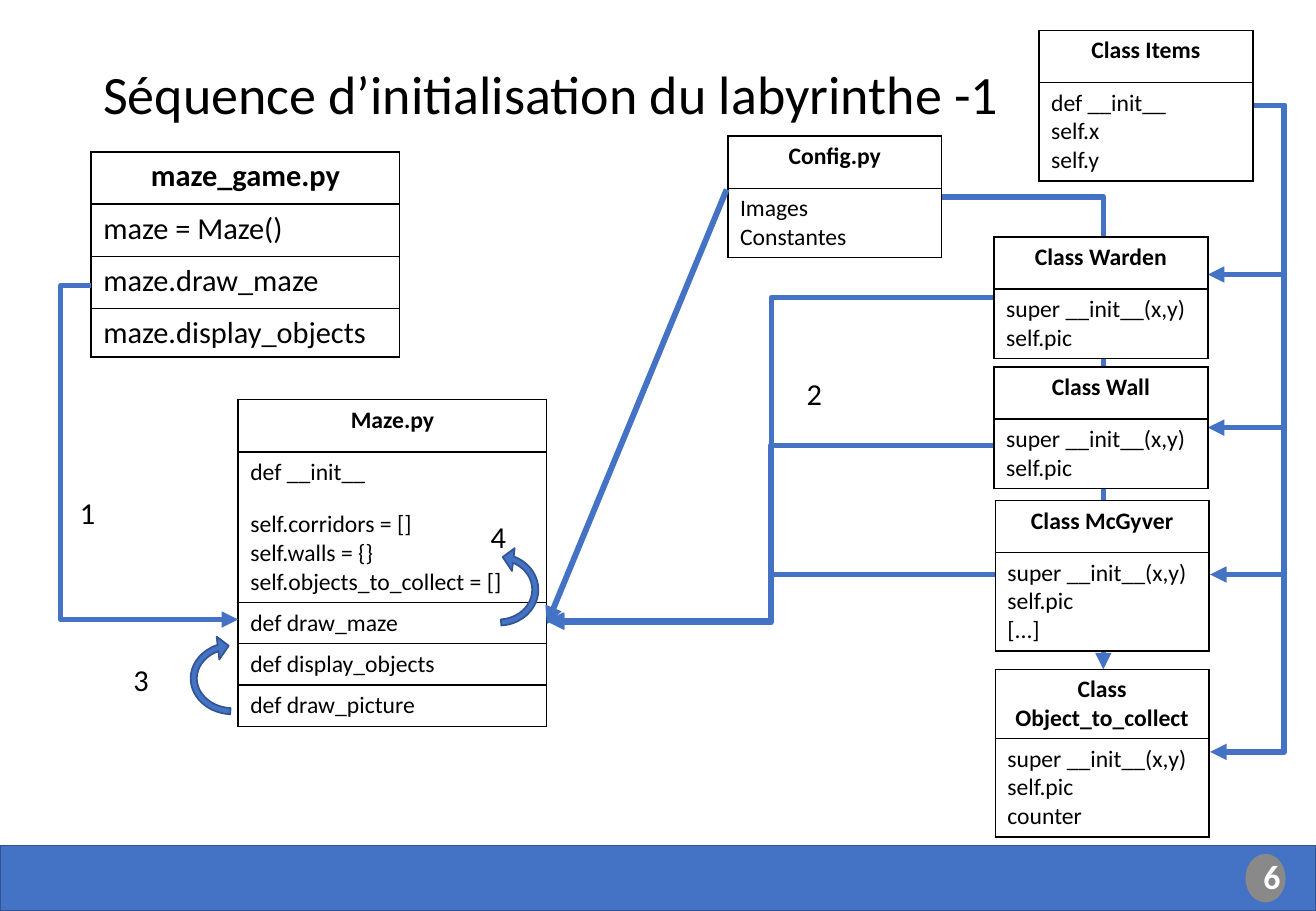
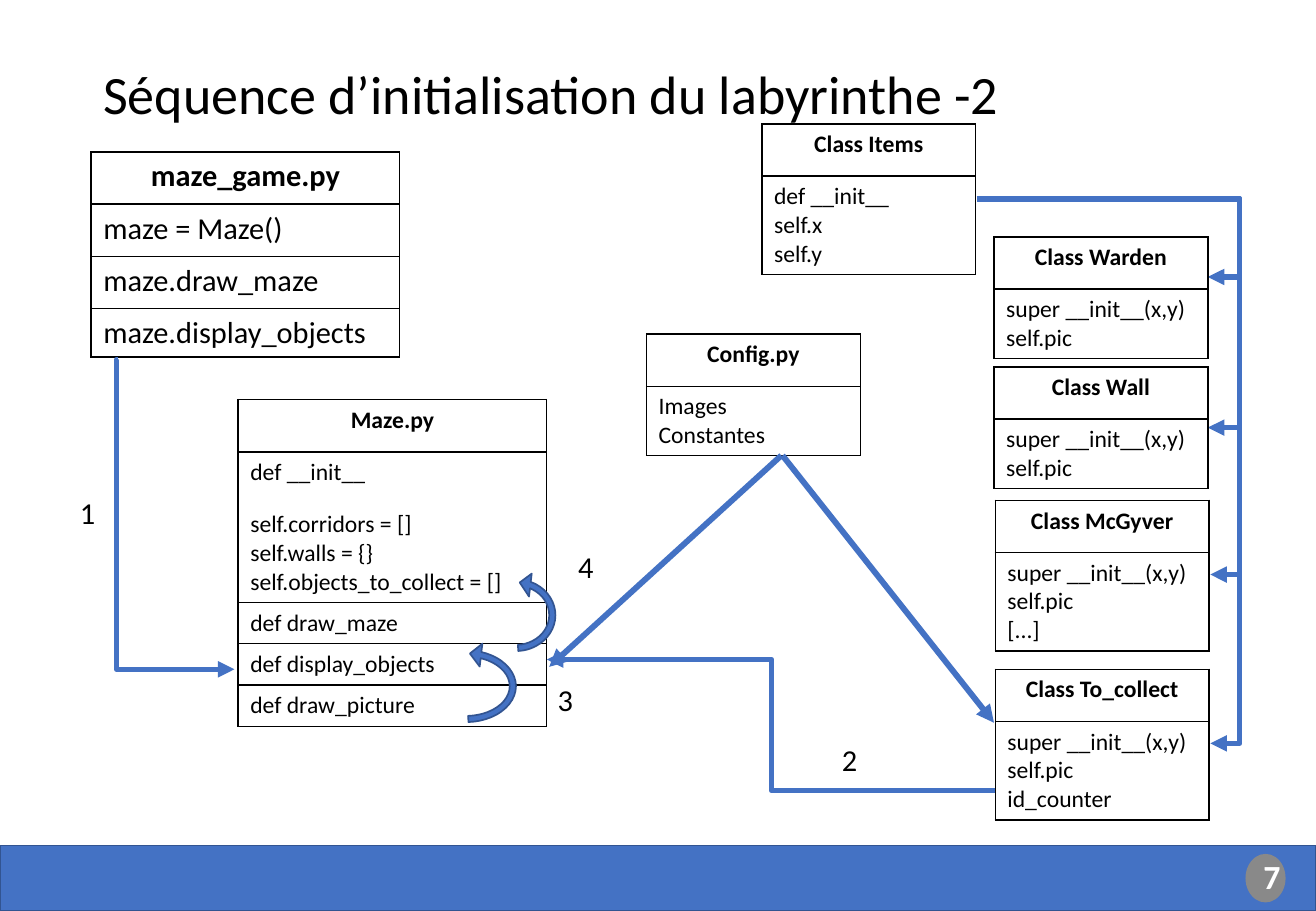
import pptx
import pptx.util
import pptx.dml.color
import pptx.enum.shapes
import pptx.enum.text
import pptx.oxml
import pptx.oxml.ns
from lxml import etree

RGB = pptx.dml.color.RGBColor
BLUE = RGB(0x44, 0x72, 0xC4)
NAVY = RGB(0x32, 0x54, 0x91)
GREY = RGB(0x89, 0x89, 0x89)
BLACK = RGB(0, 0, 0)
WHITE = RGB(255, 255, 255)
FONT = "Calibri"

# Square grid, ten cells to the inch
CELL = pptx.util.Inches(0.1)
COLS, ROWS = 108.3, 75
HEAD = 4.3
WIDE, SLIM = 25.4, 17.6

Pt = pptx.util.Pt
qn = pptx.oxml.ns.qn
Align = pptx.enum.text.PP_ALIGN
Anchor = pptx.enum.text.MSO_ANCHOR
Shape = pptx.enum.shapes.MSO_SHAPE
Link = pptx.enum.shapes.MSO_CONNECTOR


def write(frame, text, size, color=BLACK, bold=False, align=Align.LEFT):
    for i, line in enumerate(text.split("\n")):
        para = frame.paragraphs[0] if i == 0 else frame.add_paragraph()
        para.alignment = align
        run = para.add_run()
        run.text = line
        run.font.name = FONT
        run.font.size = Pt(size)
        run.font.bold = bold
        run.font.color.rgb = color


def grid(*cells):
    return [round(cell * CELL) for cell in cells]


# Tables: left, top, width, text size, filled, rows of (height, text)
INIT = "super __init__(x,y)\nself.pic"
ITEMS = [(HEAD, "Class Items"), (8.1, "def __init__\nself.x\nself.y")]
CONFIG = [(HEAD, "Config.py"), (5.7, "Images\nConstantes")]
GAME = (7.5, 12.5, WIDE, 18, False, [
    (HEAD, "maze_game.py"), (HEAD, "maze = Maze()"),
    (HEAD, "maze.draw_maze"), (4, "maze.display_objects")])
MAZE = (19.6, 32.9, WIDE, 14, False, [
    (HEAD, "Maze.py"), (HEAD, "def __init__"),
    (8.1, "self.corridors = []\nself.walls = {}\nself.objects_to_collect = []"),
    (3.4, "def draw_maze"), (3.4, "def display_objects"),
    (3.4, "def draw_picture")])
CLASSES = [
    (81.8, 19.5, SLIM, 14, True, [(HEAD, "Class Warden"), (5.7, INIT)]),
    (81.8, 30.2, SLIM, 14, True, [(HEAD, "Class Wall"), (5.7, INIT)]),
    (81.9, 41.2, SLIM, 14, True,
     [(HEAD, "Class McGyver"), (8.1, INIT + "\n[...]")]),
]

# Links: from x, y, to x, y, column of the bend (None is straight)
# Loops: left, top, width, height, flipped
PAGES = [
    {
        "num": "6",
        "title": "Séquence d’initialisation du labyrinthe -1",
        "tables": [
            (85.5, 2.5, SLIM, 14, False, ITEMS),
            (81.9, 55.1, SLIM, 14, False,
             [(5.7, "Class Object_to_collect"), (8.1, INIT + "\ncounter")]),
            (59.9, 11.2, SLIM, 14, False, CONFIG),
        ],
        "links": [
            (7.5, 23.5, 19.6, 51, 5),
            (105.8, 11.2, 99.4, 22.6, 105.7),
            (103.2, 8.7, 99.4, 35.2, 105.7),
            (103.2, 8.7, 99.6, 61.9, 105.7),
            (103.2, 8.7, 99.6, 47.3, 105.7),
            (81.9, 47.3, 45, 51.1, 63.5),
            (81.7, 36.7, 45.1, 51.1, 63.4),
            (81.8, 24.5, 45.1, 51.2, 63.5),
            (59.8, 15.6, 45, 51.4, None),
            (77.5, 16.2, 90.8, 55.1, 90.8),
        ],
        "marks": [(5.6, 40.2), (65.4, 30.4), (10, 53.9), (39.4, 42.2)],
        "loops": [(15.5, 51.7, 7.3, 8.3, False), (37.4, 44.6, 7.3, 7.9, True)],
    },
    {
        "num": "7",
        "title": "Séquence d’initialisation du labyrinthe -2",
        "tables": [
            (62.7, 10.2, SLIM, 14, False, ITEMS),
            (81.9, 55.1, SLIM, 14, False,
             [(HEAD, "Class To_collect"), (8.1, INIT + "\nid_counter")]),
            (53.2, 27.5, SLIM, 14, False, CONFIG),
        ],
        "links": [
            (9.7, 29.6, 19.3, 55.1, 9.6),
            (80.4, 16.4, 99.4, 22.8, 102),
            (80.4, 16.4, 99.4, 35.2, 102),
            (80.4, 16.4, 99.6, 61.2, 102),
            (80.4, 16.4, 99.6, 47.3, 102),
            (81.9, 65.1, 45, 54.3, 63.5),
            (64.4, 37.5, 81.8, 59.5, None),
            (64.3, 37.5, 45.2, 54.9, None),
        ],
        "marks": [(5.6, 40.2), (68.3, 60.5), (44.9, 55.6), (46.6, 44.6)],
        "loops": [(34.7, 51.7, 7.3, 9.6, True), (38.8, 46.7, 7.3, 7.9, True)],
    },
]

deck = pptx.Presentation()
deck.slide_width, deck.slide_height = grid(COLS, ROWS)

for page in PAGES:
    slide = deck.slides.add_slide(deck.slide_layouts[6])
    shapes = slide.shapes

    # Footer band and page number
    band = shapes.add_shape(Shape.RECTANGLE, *grid(0, 69.6, COLS, 5.4))
    band.shadow.inherit = False
    band.fill.solid()
    band.fill.fore_color.rgb = BLUE
    band.line.color.rgb = NAVY
    band.line.width = Pt(1)
    disc = shapes.add_shape(Shape.OVAL, *grid(102.5, 70.3, 3.3, 4))
    disc.shadow.inherit = False
    disc.fill.solid()
    disc.fill.fore_color.rgb = GREY
    disc.line.fill.background()
    disc.text_frame.vertical_anchor = Anchor.MIDDLE
    write(disc.text_frame, page["num"], 20, WHITE, True, Align.CENTER)
    para = disc.text_frame.paragraphs[0]
    para.line_spacing = 0.9
    para.space_after = Pt(6)

    # Title
    title = shapes.add_textbox(*grid(7.5, 1.4, 92, 9.5)).text_frame
    title.word_wrap = True
    title.vertical_anchor = Anchor.BOTTOM
    write(title, page["title"], 32)
    title.paragraphs[0].line_spacing = 0.9

    # Tables, with the filled ones on top of the links
    plain = [GAME, MAZE] + page["tables"]
    for layer in (plain, CLASSES):
        for left, top, width, size, filled, rows in layer:
            tall = sum(row[0] for row in rows)
            table = shapes.add_table(
                len(rows), 1, *grid(left, top, width, tall)).table
            table.first_row = table.horz_banding = False
            for i, (height, text) in enumerate(rows):
                table.rows[i].height = grid(height)[0]
                cell = table.cell(i, 0)
                write(cell.text_frame, text, size, bold=i == 0,
                      align=Align.LEFT if i else Align.CENTER)
                props = cell._tc.get_or_add_tcPr()
                for side in "LRTB":
                    edge = etree.SubElement(
                        props, qn("a:ln" + side), w=str(Pt(1)))
                    # The init row of the maze runs on into the next
                    inner = rows is MAZE[5] and (i, side) in ((1, "B"), (2, "T"))
                    if inner:
                        etree.SubElement(edge, qn("a:noFill"))
                    else:
                        ink = etree.SubElement(edge, qn("a:solidFill"))
                        etree.SubElement(ink, qn("a:srgbClr"), val=str(BLACK))
                if filled:
                    cell.fill.solid()
                    cell.fill.fore_color.rgb = WHITE
                else:
                    cell.fill.background()

        if layer is CLASSES:
            continue

        # Links
        for x0, y0, x1, y1, bend in page["links"]:
            kind = Link.STRAIGHT if bend is None else Link.ELBOW
            link = shapes.add_connector(kind, *grid(x0, y0, x1, y1))
            link.line.color.rgb = BLUE
            link.line.width = Pt(3.5 if bend is None else 3.25)
            props = link._element.spPr
            etree.SubElement(
                props.find(qn("a:ln")), qn("a:tailEnd"), type="triangle")
            etree.SubElement(props, qn("a:effectLst"))
            geom = props.find(qn("a:prstGeom"))
            if bend == x1:
                geom.set("prst", "bentConnector2")
            elif bend is not None:
                share = round((bend - x0) / (x1 - x0) * 100000)
                etree.SubElement(geom.find(qn("a:avLst")), qn("a:gd"),
                                 name="adj1", fmla=f"val {share}")

    # Step numbers
    for step, (left, top) in enumerate(page["marks"], 1):
        mark = shapes.add_textbox(*grid(left, top, 3.3, 4)).text_frame
        mark.word_wrap = False
        write(mark, str(step), 18)

    # Loop arrows
    for left, top, width, height, flipped in page["loops"]:
        loop = shapes.add_shape(
            Shape.CIRCULAR_ARROW, *grid(left, top, width, height))
        loop.shadow.inherit = False
        loop.rotation = 270
        for i, value in enumerate((0.07, 11.42, 200.56, 110.35, 0.13)):
            loop.adjustments[i] = value
        if flipped:
            loop._element.spPr.find(qn("a:xfrm")).set("flipV", "1")
        loop.fill.solid()
        loop.fill.fore_color.rgb = BLUE
        loop.line.color.rgb = NAVY
        loop.line.width = Pt(1)

deck.save("out.pptx")
